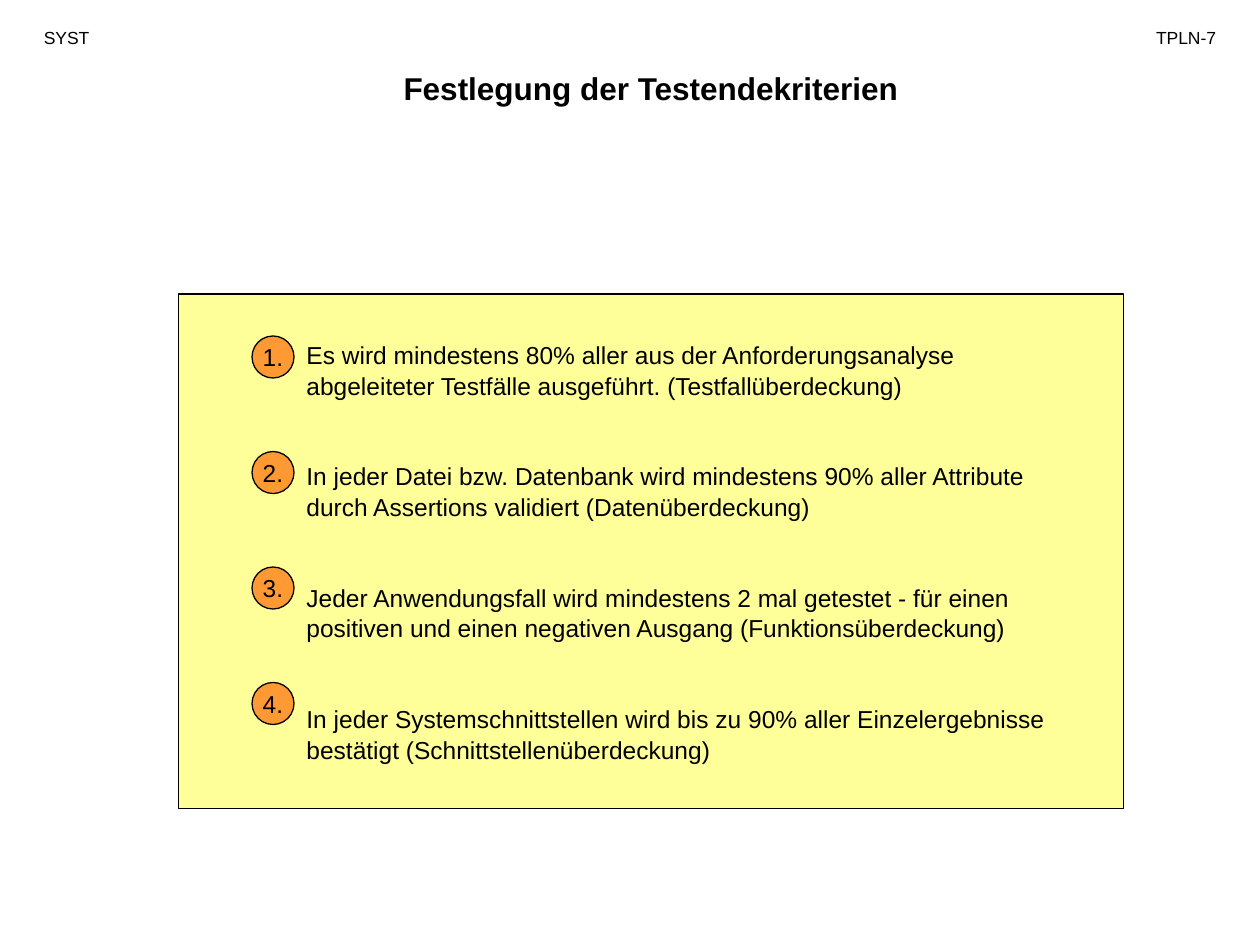
from pptx import Presentation
from pptx.dml.color import RGBColor
from pptx.enum.shapes import MSO_SHAPE
from pptx.enum.text import MSO_ANCHOR, PP_ALIGN
from pptx.util import Emu, Pt

PX = 7620
FONT = "Arial"
LEFT, CENTER, RIGHT = PP_ALIGN.LEFT, PP_ALIGN.CENTER, PP_ALIGN.RIGHT
TOP, MIDDLE = MSO_ANCHOR.TOP, MSO_ANCHOR.MIDDLE
RECTANGLE, OVAL = MSO_SHAPE.RECTANGLE, MSO_SHAPE.OVAL
COLORS = {"ink": "000000", "panel": "FFFF99", "badge": "FF9933"}
CRITERIA = [
    "Es wird mindestens 80% aller aus der Anforderungsanalyse abgeleiteter "
    "Testfälle ausgeführt. (Testfallüberdeckung)",
    "In jeder Datei bzw. Datenbank wird mindestens 90% aller Attribute durch "
    "Assertions validiert (Datenüberdeckung)",
    "Jeder Anwendungsfall wird mindestens 2 mal getestet - für einen positiven "
    "und einen negativen Ausgang (Funktionsüberdeckung)",
    "In jeder Systemschnittstellen wird bis zu 90% aller Einzelergebnisse "
    "bestätigt (Schnittstellenüberdeckung)",
]


def px(*lengths):
    """Turn px lengths into EMU."""
    return [Emu(length * PX) for length in lengths]


def color(name):
    """Look up a named colour."""
    return RGBColor.from_string(COLORS[name])


def write(shape, *texts, size=14, bold=False, align=LEFT, anchor=TOP,
          wrap=True, gap=0, spacing=None):
    """Write one paragraph per text into a shape."""
    frame = shape.text_frame
    frame.word_wrap = wrap
    frame.vertical_anchor = anchor
    for index, text in enumerate(texts):
        para = frame.add_paragraph() if index else frame.paragraphs[0]
        para.alignment = align
        para.line_spacing = spacing
        if index:
            para.space_before = Pt(gap)
        span = para.add_run()
        span.text = text
        span.font.name = FONT
        span.font.size = Pt(size)
        span.font.bold = bold
        span.font.color.rgb = color("ink")


def add_outlined(page, kind, box, fill):
    """Add a filled preset shape with a thin outline."""
    shape = page.shapes.add_shape(kind, *px(*box))
    shape.shadow.inherit = False
    shape.fill.solid()
    shape.fill.fore_color.rgb = color(fill)
    shape.line.color.rgb = color("ink")
    shape.line.width = Pt(0.75)
    return shape


def add_header(page, box):
    """Place the chapter mark, page mark and title across the box."""
    left, top, width, height = box
    title = page.shapes.add_textbox(*px(left + 230, top + 40, 720, height - 40))
    write(title, "Festlegung der Testendekriterien", size=18, bold=True, align=CENTER)
    chapter = page.shapes.add_textbox(*px(left, top, 110, 32))
    write(chapter, "SYST", size=10)
    number = page.shapes.add_textbox(*px(left + width - 120, top, 120, 32))
    write(number, "TPLN-7", size=10, align=RIGHT)


def add_criteria(page, box):
    """Place the panel with the numbered test end criteria."""
    left, top, width, height = box
    add_outlined(page, RECTANGLE, box, "panel")
    listing = page.shapes.add_textbox(*px(left + 110, top + 37, width - 140, height - 82))
    write(listing, *CRITERIA, gap=34.4, spacing=1.04)
    for index in range(len(CRITERIA)):
        badge = add_outlined(page, OVAL, (left + 70, top + 40 + index * 110, 40, 40), "badge")
        write(badge, f"{index + 1}.", align=CENTER, anchor=MIDDLE, wrap=False)


def main():
    """Build and save the deck."""
    deck = Presentation()
    deck.slide_width, deck.slide_height = px(1200, 900)
    page = deck.slides.add_slide(deck.slide_layouts[6])
    add_header(page, (30, 20, 1140, 88))
    add_criteria(page, (170, 280, 900, 490))
    deck.save("out.pptx")


if __name__ == "__main__":
    main()
